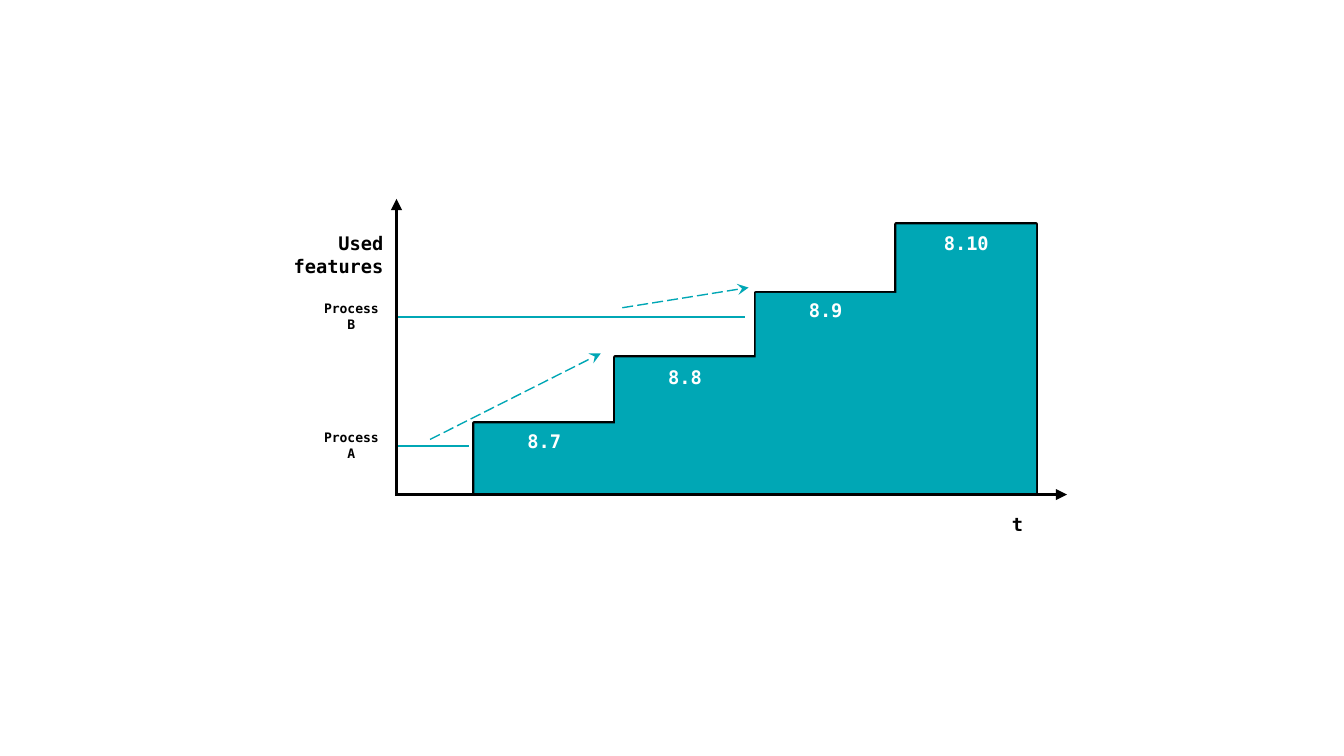
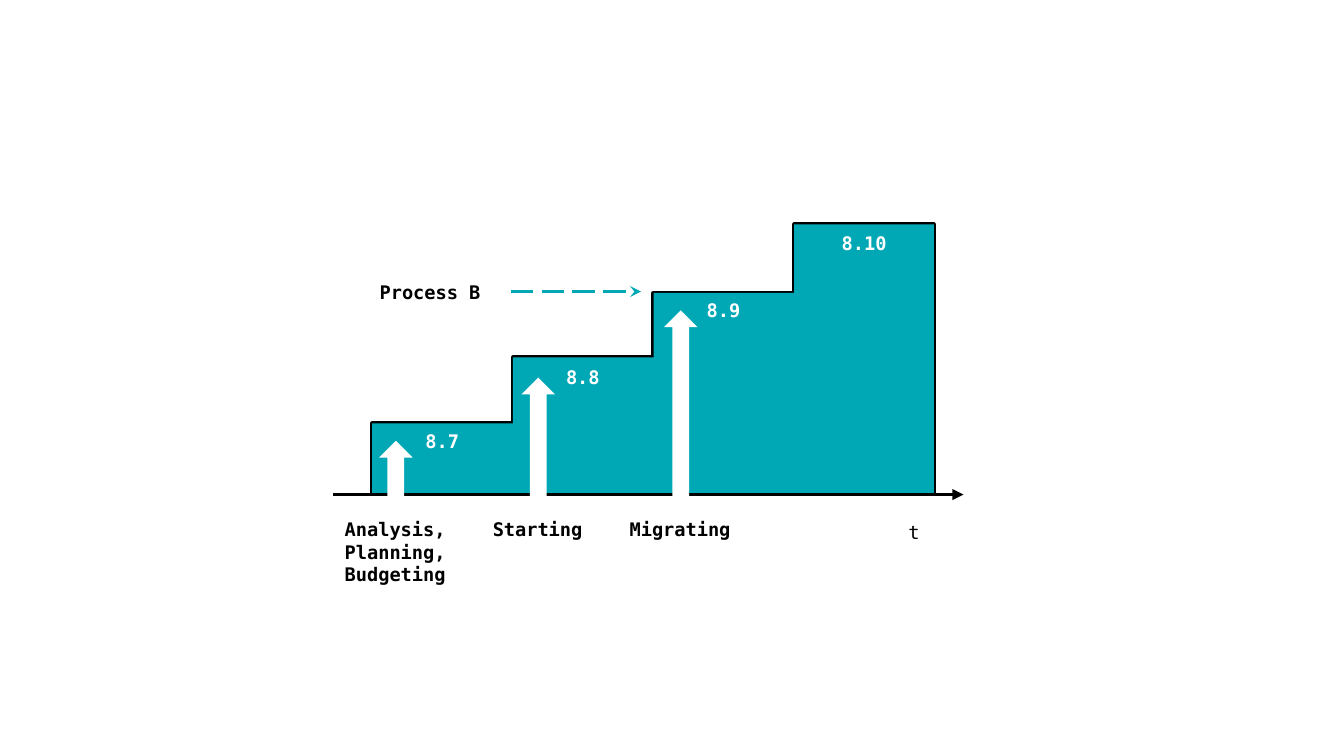
from dataclasses import dataclass

from lxml.etree import SubElement
from pptx import Presentation
from pptx.dml.color import RGBColor
from pptx.enum.dml import MSO_LINE
from pptx.enum.shapes import MSO_CONNECTOR, MSO_SHAPE
from pptx.enum.text import MSO_ANCHOR, MSO_AUTO_SIZE, PP_ALIGN
from pptx.oxml.ns import qn
from pptx.util import Inches, Pt


@dataclass(frozen=True)
class Theme:
    font: str = "DejaVu Sans Mono"
    teal: RGBColor = RGBColor(0x00, 0xA7, 0xB5)
    mint: RGBColor = RGBColor(0xD0, 0xF7, 0xE4)
    black: RGBColor = RGBColor(0, 0, 0)
    white: RGBColor = RGBColor(255, 255, 255)
    label_size: float = 10
    small_size: float = 7
    thin: float = 0.75
    medium: float = 1.5
    thick: float = 2.25


THEME = Theme()

# Staircase geometry, in inches
STEP_PITCH = 3.14 / 3
STEP_WIDTH = 1.04
AXIS_TOP = 3.68
# Step index, top, outline width and height, fill width and height
BLOCKS = [
    (0, 3.15, STEP_WIDTH, 0.52, 1.74, 0.52),
    (1, 3.15, 3.13, 0.52, 3.13, 0.52),
    (1, 2.66, STEP_WIDTH, 1.01, 1.18, 1.01),
    (2, 2.18, STEP_WIDTH, 1.04, 1.16, 1.04),
    (3, 1.67, STEP_WIDTH, 1.48, STEP_WIDTH, 2),
]
VERSIONS = [("8.7", 3.15), ("8.8", 2.67), ("8.9", 2.17), ("8.10", 1.67)]


def add_filled_shape(shapes, kind, bounds, fill, outline=None):
    shape = shapes.add_shape(kind, *map(Inches, bounds))
    shape.shadow.inherit = False
    shape.fill.solid()
    shape.fill.fore_color.rgb = fill
    if outline is None:
        shape.line.fill.background()
    else:
        shape.line.color.rgb = outline
        shape.line.width = Pt(THEME.thick)


def add_label(page, text, bounds, size=THEME.label_size, color=THEME.black,
              align=PP_ALIGN.CENTER, anchor=MSO_ANCHOR.MIDDLE, bold=True,
              grow=False):
    box = page.shapes.add_textbox(*map(Inches, bounds))
    frame = box.text_frame
    frame.word_wrap = True
    frame.auto_size = (MSO_AUTO_SIZE.SHAPE_TO_FIT_TEXT if grow
                       else MSO_AUTO_SIZE.NONE)
    frame.vertical_anchor = anchor
    frame.margin_left = frame.margin_right = Inches(0.1)
    frame.margin_top = frame.margin_bottom = Inches(0.1)
    frame.text = text
    for para in frame.paragraphs:
        para.alignment = align
        for span in para.runs:
            span.font.name = THEME.font
            span.font.size = Pt(size)
            span.font.bold = bold
            span.font.color.rgb = color


def add_line(page, start, end, color=THEME.teal, width=THEME.thin,
             dashed=False, arrowhead=None):
    line = page.shapes.add_connector(
        MSO_CONNECTOR.STRAIGHT, *map(Inches, start + end))
    line.line.color.rgb = color
    line.line.width = Pt(width)
    if dashed:
        line.line.dash_style = MSO_LINE.LONG_DASH
    properties = line._element.spPr
    if arrowhead:
        SubElement(properties.find(qn("a:ln")), qn("a:tailEnd"),
                   type=arrowhead)
    SubElement(properties, qn("a:effectLst"))


def add_axis(page, start, end):
    add_line(page, start, end, THEME.black, THEME.medium,
             arrowhead="triangle")


def add_progress_arrow(page, start, end, width=THEME.thin):
    add_line(page, start, end, width=width, dashed=True, arrowhead="stealth")


def add_staircase(page, left):
    # Outlined blocks at the back, teal blocks hiding the inner edges
    outlines = page.shapes.add_group_shape()
    fills = page.shapes.add_group_shape()
    for step, top, width, height, fill_width, fill_height in BLOCKS:
        step_left = left + step * STEP_PITCH
        add_filled_shape(outlines.shapes, MSO_SHAPE.RECTANGLE,
                         (step_left, top, width, height),
                         THEME.mint, THEME.black)
        add_filled_shape(fills.shapes, MSO_SHAPE.RECTANGLE,
                         (step_left, top, fill_width, fill_height),
                         THEME.teal)


def add_versions(page, left):
    for step, (version, top) in enumerate(VERSIONS):
        add_label(page, version,
                  (left + step * STEP_PITCH, top, STEP_WIDTH, 0.27),
                  color=THEME.white)


def build_features_page(page):
    stairs_left, axis_left = 3.53, 2.95
    add_line(page, (axis_left, 2.36), (5.54, 2.36))
    add_staircase(page, stairs_left)

    # Process B label and time axis
    process_left, process_width, process_height = 2.3, 0.63, 0.27
    add_label(page, "Process B",
              (process_left, 2.22, process_width, process_height),
              THEME.small_size)
    add_axis(page, (axis_left, AXIS_TOP), (7.94, AXIS_TOP))
    add_label(page, "t", (6.44, 3.61, 1.27, 0.47),
              align=PP_ALIGN.RIGHT, anchor=MSO_ANCHOR.BOTTOM)

    # Growth of the processes
    add_progress_arrow(page, (3.2, 3.27), (4.47, 2.63))
    add_progress_arrow(page, (4.63, 2.29), (5.57, 2.14))
    add_versions(page, stairs_left)

    # Process A level and feature axis
    add_line(page, (2.94, 3.32), (3.49, 3.32))
    add_axis(page, (axis_left, 3.69), (axis_left, 1.48))
    add_label(page, "Used\nfeatures", (2, 1.66, 0.95, 0.47),
              align=PP_ALIGN.RIGHT)
    add_label(page, "Process A",
              (process_left, 3.18, process_width, process_height),
              THEME.small_size)


def build_migration_page(page):
    stairs_left = 2.77
    add_staircase(page, stairs_left)

    # Time axis and process marker
    add_label(page, "Process B", (2.6, 2.04, 1.2, 0.27))
    add_axis(page, (2.48, AXIS_TOP), (7.17, AXIS_TOP))
    add_label(page, "t", (5.57, 3.67, 1.37, 0.47), align=PP_ALIGN.RIGHT,
              anchor=MSO_ANCHOR.BOTTOM, bold=False)
    add_progress_arrow(page, (3.8, 2.17), (4.77, 2.17), THEME.medium)
    add_versions(page, stairs_left)

    # Phases, each with an arrow rising into its step
    phases = [("Analysis,\nPlanning,\nBudgeting", 3.28, 0.71),
              ("Starting", 2.81, 0.37), ("Migrating", 2.31, 0.37)]
    phase_pitch, arrow_bottom = 1.06, 4.28
    for index, (phase, arrow_top, height) in enumerate(phases):
        offset = index * phase_pitch
        add_filled_shape(page.shapes, MSO_SHAPE.UP_ARROW,
                         (2.82 + offset, arrow_top, 0.25,
                          arrow_bottom - arrow_top), THEME.white)
        add_label(page, phase, (2.42 + offset, 3.75, STEP_WIDTH, height),
                  grow=True)


def main():
    deck = Presentation()
    deck.slide_width = Inches(10)
    deck.slide_height = Inches(10 * 9 / 16)
    blank = deck.slide_layouts[6]
    for build in (build_features_page, build_migration_page):
        build(deck.slides.add_slide(blank))
    deck.save("out.pptx")


if __name__ == "__main__":
    main()
